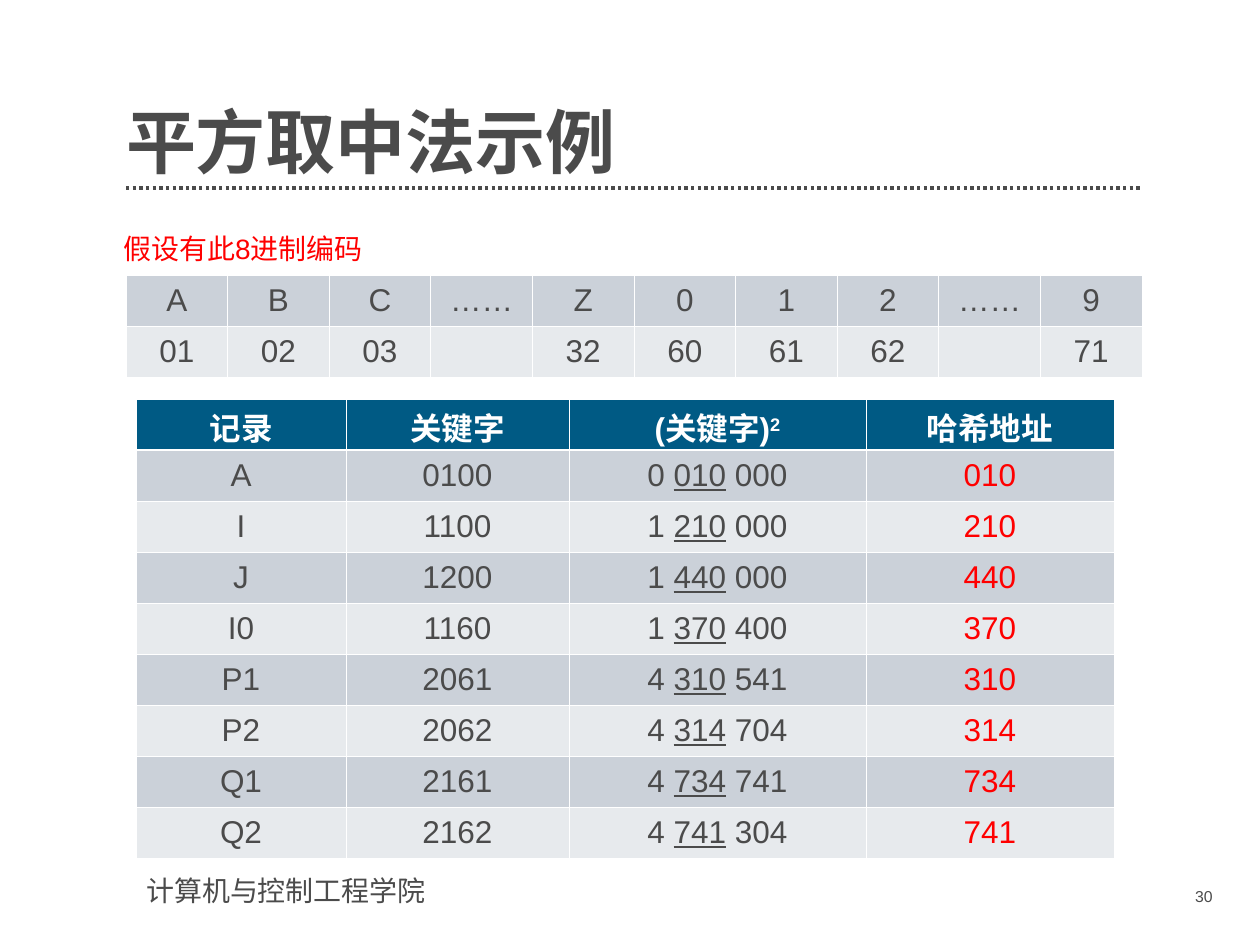
"""Build the slide with the mid-square hashing example."""
import lxml.etree
import pptx
import pptx.dml.color
import pptx.enum.dml
import pptx.enum.shapes
import pptx.enum.text
import pptx.oxml.ns
import pptx.util

PX = 914400 / 126
GRAY = pptx.dml.color.RGBColor(0x4B, 0x4B, 0x4B)
RED = pptx.dml.color.RGBColor(0xFF, 0x00, 0x00)
WHITE = pptx.dml.color.RGBColor(0xFF, 0xFF, 0xFF)
BLUE = pptx.dml.color.RGBColor(0x00, 0x5A, 0x84)
BANDS = (pptx.dml.color.RGBColor(0xCB, 0xD1, 0xD9), pptx.dml.color.RGBColor(0xE7, 0xEA, 0xED))
ALIGN = pptx.enum.text.PP_ALIGN
ANCHOR = pptx.enum.text.MSO_ANCHOR
qn = pptx.oxml.ns.qn


def style_text(paragraph, size, color, align=ALIGN.LEFT, bold=False, font="Arial"):
    paragraph.alignment = align
    for run in paragraph.runs:
        run.font.name = font
        run.font.size = pptx.util.Pt(size)
        run.font.bold = bold
        run.font.color.rgb = color


def style_cell(cell, fill, bottom_width=0.45, top_width=0.45):
    cell.vertical_anchor = ANCHOR.MIDDLE
    properties = cell._tc.get_or_add_tcPr()
    for side, width in (("L", 0.45), ("R", 0.45), ("T", top_width), ("B", bottom_width)):
        border = lxml.etree.SubElement(properties, qn(f"a:ln{side}"), w=str(pptx.util.Pt(width)))
        solid = lxml.etree.SubElement(border, qn("a:solidFill"))
        lxml.etree.SubElement(solid, qn("a:srgbClr"), val=str(WHITE))
    cell.fill.solid()
    cell.fill.fore_color.rgb = fill


presentation = pptx.Presentation()
presentation.slide_width = pptx.util.Inches(10)
presentation.slide_height = pptx.util.Inches(7.5)
slide = presentation.slides.add_slide(presentation.slide_layouts[5])

rule = slide.shapes.add_connector(
    pptx.enum.shapes.MSO_CONNECTOR.STRAIGHT,
    *(round(value * PX) for value in (126, 188, 1142, 188)))
rule.line.color.rgb = GRAY
rule.line.width = pptx.util.Pt(1.9)
rule.line.dash_style = pptx.enum.dml.MSO_LINE.ROUND_DOT
lxml.etree.SubElement(rule._element.spPr, qn("a:effectLst"))

title = slide.shapes.title
title.left, title.top, title.width, title.height = (
    round(value * PX) for value in (126, 69, 1016, 115))
frame = title.text_frame
frame.text = "平方取中法示例"
frame.vertical_anchor = ANCHOR.BOTTOM
frame.margin_left = frame.margin_right = frame.margin_top = frame.margin_bottom = 0
frame.paragraphs[0].line_spacing = 0.9
style_text(frame.paragraphs[0], 40, GRAY, bold=True, font="Noto Sans CJK SC")
for run in frame.paragraphs[0].runs:
    lxml.etree.SubElement(run._r.get_or_add_rPr(), qn("a:ea"), typeface="Noto Sans CJK SC")

for text, box, size, color, align in (
    ("计算机与控制工程学院", (134, 867, 323, 47), 16, GRAY, ALIGN.LEFT),
    ("30", (1100, 881, 125, 37), 9, GRAY, ALIGN.RIGHT),
    ("假设有此8进制编码", (111, 225, 890, 47), 16, RED, ALIGN.LEFT),
):
    text_box = slide.shapes.add_textbox(*(round(value * PX) for value in box))
    text_box.text_frame.word_wrap = True
    text_box.text_frame.text = text
    style_text(text_box.text_frame.paragraphs[0], size, color, align)

codes = (
    ("A", "B", "C", "……", "Z", "0", "1", "2", "……", "9"),
    ("01", "02", "03", "", "32", "60", "61", "62", "", "71"),
)
code_table = slide.shapes.add_table(
    2, 10, *(round(value * PX) for value in (126, 275, 1016, 102))).table
code_table.first_row = code_table.horz_banding = False
for row, values in enumerate(codes):
    for column, value in enumerate(values):
        cell = code_table.cell(row, column)
        cell.text = value
        style_text(cell.text_frame.paragraphs[0], 18, GRAY, ALIGN.CENTER)
        style_cell(cell, BANDS[row])

records = (
    ("A", "0100", "0 010 000"),
    ("I", "1100", "1 210 000"),
    ("J", "1200", "1 440 000"),
    ("I0", "1160", "1 370 400"),
    ("P1", "2061", "4 310 541"),
    ("P2", "2062", "4 314 704"),
    ("Q1", "2161", "4 734 741"),
    ("Q2", "2162", "4 741 304"),
)
hash_table = slide.shapes.add_table(
    9, 4, *(round(value * PX) for value in (136, 399, 978, 459))).table
hash_table.horz_banding = False
for column, width in enumerate((210, 223, 297, 248)):
    hash_table.columns[column].width = round(width * PX)

for column, heading in enumerate(("记录", "关键字", "(关键字)", "哈希地址")):
    cell = hash_table.cell(0, column)
    cell.text = heading
    paragraph = cell.text_frame.paragraphs[0]
    if column == 2:
        exponent = paragraph.add_run()
        exponent.text = "2"
        exponent._r.get_or_add_rPr().set("baseline", "30000")
    style_text(paragraph, 18, WHITE, ALIGN.CENTER, bold=True)
    cell.margin_top = round(5 * PX)
    cell.margin_bottom = 0
    style_cell(cell, BLUE, bottom_width=1.47)

for row, (record, key, square) in enumerate(records, start=1):
    head, middle, tail = square.split()
    for column, parts in enumerate(((record,), (key,), (head + " ", middle, " " + tail), (middle,))):
        cell = hash_table.cell(row, column)
        paragraph = cell.text_frame.paragraphs[0]
        for index, part in enumerate(parts):
            run = paragraph.add_run()
            run.text = part
            run.font.underline = index == 1
        style_text(paragraph, 18, RED if column == 3 else GRAY, ALIGN.CENTER)
        style_cell(cell, BANDS[(row - 1) % 2], top_width=1.47 if row == 1 else 0.45)

presentation.save("out.pptx")
